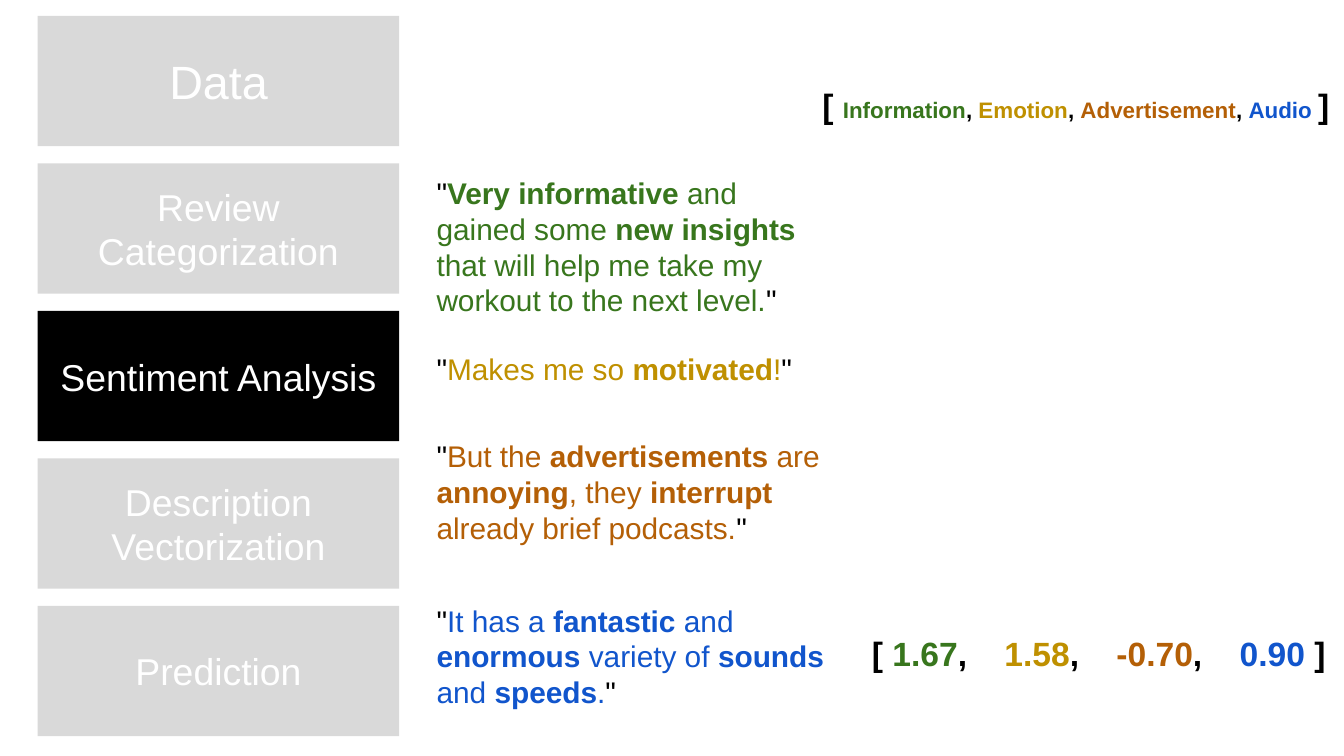
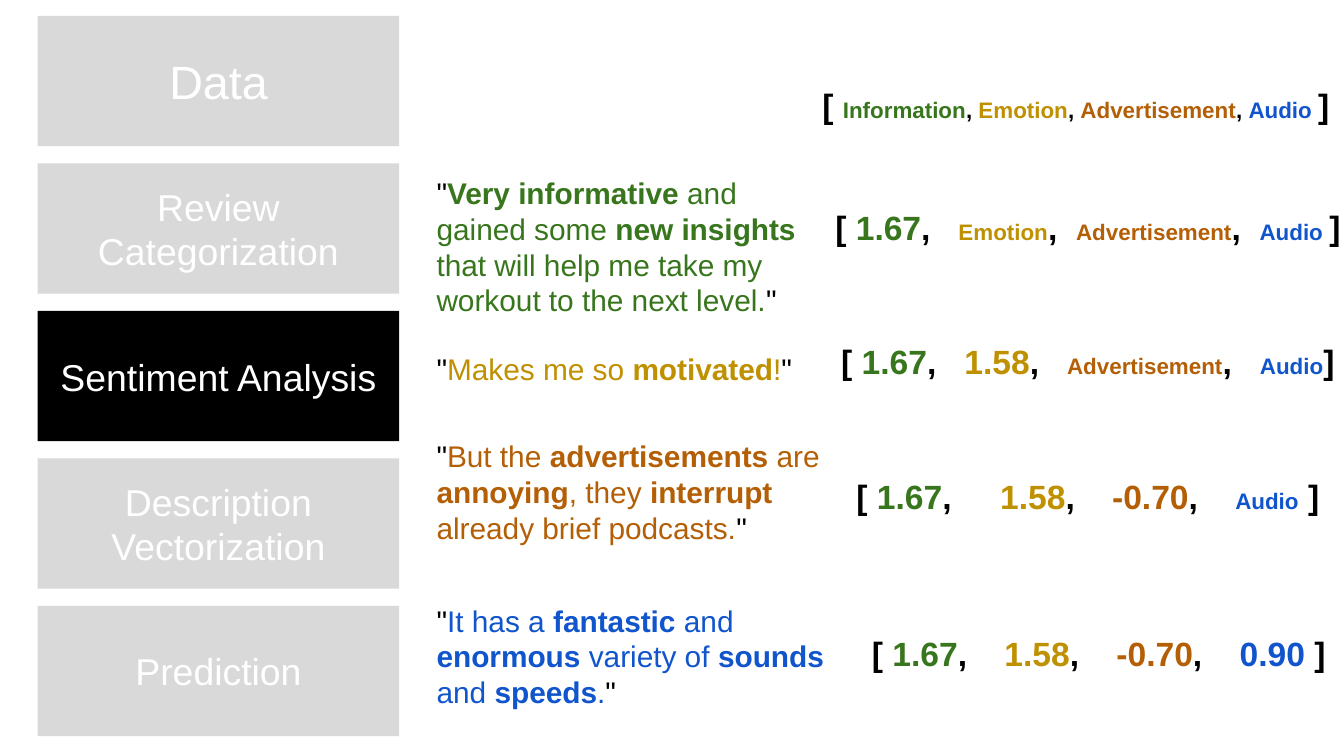
"""Builds two slides that turn podcast reviews into a vector of sentiment scores."""
from lxml.etree import SubElement
from pptx import Presentation
from pptx.dml.color import RGBColor
from pptx.enum.shapes import MSO_SHAPE
from pptx.enum.text import MSO_ANCHOR, PP_ALIGN
from pptx.oxml.ns import qn
from pptx.util import Pt

FONT = "Arial"
BLACK, WHITE, GREY = "000000", "FFFFFF", "D9D9D9"
INSET = 7.2

STEPS = [
    ("Data", 25),
    ("Review Categorization", 20),
    ("Sentiment Analysis", 20),
    ("Description Vectorization", 20),
    ("Prediction", 20),
]
ACTIVE_STEP = "Sentiment Analysis"
STEP_LEFT, STEP_TOP, STEP_WIDTH, STEP_HEIGHT, STEP_PITCH = 20.2, 8.6, 193.7, 69.8, 79

TOPICS = ["Information", "Emotion", "Advertisement", "Audio"]
SCORES = ["1.67", "1.58", "-0.70", "0.90"]
TOPIC_COLORS = ["38761D", "BF9000", "B45F06", "1155CC"]
TOPIC_SIZE, SCORE_SIZE, REVIEW_SIZE = 12, 18, 16

REVIEWS = [
    ("*Very informative* and gained some *new insights* that will help me take my "
     "workout to the next level.", (226.8, 86.4, 221, 79.2)),
    ("Makes me so *motivated*!", (226.8, 180.7, 221, 55.4)),
    ("But the *advertisements* are *annoying*, they *interrupt* already brief podcasts.",
     (226.8, 227.5, 221, 66.2)),
    ("It has a *fantastic* and *enormous* variety of *sounds* and *speeds*.",
     (226.8, 315.4, 231.8, 64.1)),
]

HEADER_BOX = (303.1, 38.2, 546.5, 31)
VECTOR_WIDTH, VECTOR_HEIGHT = 313.2, 31
OPENING_WIDTH, COMMA_WIDTH = 11, 5
CELL_WIDTHS = {"1.67": 35, "1.58": 35, "-0.70": 41, "0.90": 35,
               "Emotion": 48, "Advertisement": 83.3, "Audio": 34}
VECTORS = {
    1: dict(left=426.2, top=103.7, gaps=(15, 10, 10), suffix=" ", closing="]", end=9.3),
    2: dict(left=426.2, top=175.7, gaps=(15, 15, 15), suffix="", closing="]", end=6),
    3: dict(left=426.2, top=247.7, gaps=(26, 20, 20), suffix="", closing=" ]", end=11),
    4: dict(left=432, top=331.9, gaps=(20, 20, 20), suffix=" ", closing="]", end=11),
}
SLIDE_VECTORS = [[4], [1, 2, 3, 4]]


def rgb(color):
    return RGBColor.from_string(color)


def add_run(paragraph, text, size, color, bold=False):
    run = paragraph.add_run()
    run.text = text
    run.font.name, run.font.size, run.font.bold = FONT, Pt(size), bold
    run.font.color.rgb = rgb(color)


def prepare_frame(frame, left_inset=INSET):
    frame.word_wrap = True
    frame.margin_left = Pt(left_inset)
    frame.margin_top = frame.margin_right = frame.margin_bottom = Pt(INSET)
    return frame.paragraphs[0]


def add_text(slide, box, left_inset=INSET):
    frame = slide.shapes.add_textbox(*map(Pt, box)).text_frame
    return prepare_frame(frame, left_inset)


def add_steps(slide):
    for row, (label, size) in enumerate(STEPS):
        box = (STEP_LEFT, STEP_TOP + row * STEP_PITCH, STEP_WIDTH, STEP_HEIGHT)
        step = slide.shapes.add_shape(MSO_SHAPE.RECTANGLE, *map(Pt, box))
        step.shadow.inherit = False
        step.fill.solid()
        step.fill.fore_color.rgb = rgb(BLACK if label == ACTIVE_STEP else GREY)
        step.line.fill.background()
        step.text_frame.vertical_anchor = MSO_ANCHOR.MIDDLE
        paragraph = prepare_frame(step.text_frame)
        paragraph.alignment = PP_ALIGN.CENTER
        add_run(paragraph, label, size, WHITE)


def add_header(slide):
    paragraph = add_text(slide, HEADER_BOX)
    paragraph.alignment = PP_ALIGN.CENTER
    add_run(paragraph, "[ ", SCORE_SIZE, BLACK, True)
    for topic, color in zip(TOPICS, TOPIC_COLORS):
        last = topic == TOPICS[-1]
        add_run(paragraph, topic + " " * last, TOPIC_SIZE, color, True)
        if not last:
            add_run(paragraph, ", ", TOPIC_SIZE, BLACK, True)
    add_run(paragraph, "]", SCORE_SIZE, BLACK, True)


def add_review(slide, review, box, color):
    paragraph = add_text(slide, box)
    add_run(paragraph, '"', REVIEW_SIZE, BLACK)
    for index, part in enumerate(review.split("*")):
        if part:
            add_run(paragraph, part, REVIEW_SIZE, color, index % 2 == 1)
    add_run(paragraph, '"', REVIEW_SIZE, BLACK)


def add_vector(slide, known, left, top, gaps, suffix, closing, end):
    cells = SCORES[:known] + TOPICS[known:]
    stops, reach = [], OPENING_WIDTH
    for cell, gap in zip(cells, gaps):
        reach += CELL_WIDTHS[cell] + COMMA_WIDTH + gap
        stops.append(reach)
    total = reach + CELL_WIDTHS[cells[-1]] + end
    paragraph = add_text(slide, (left, top, VECTOR_WIDTH, VECTOR_HEIGHT),
                         (VECTOR_WIDTH - total) / 2)
    tabs = SubElement(paragraph._p.get_or_add_pPr(), qn("a:tabLst"))
    for stop in stops:
        SubElement(tabs, qn("a:tab"), pos=str(Pt(stop)), algn="l")
    add_run(paragraph, "[ ", SCORE_SIZE, BLACK, True)
    for index, (cell, color) in enumerate(zip(cells, TOPIC_COLORS)):
        last = index == len(gaps)
        size = SCORE_SIZE if index < known else TOPIC_SIZE
        add_run(paragraph, cell + suffix * last, size, color, True)
        add_run(paragraph, closing if last else ",\t", SCORE_SIZE, BLACK, True)


def main():
    deck = Presentation()
    deck.slide_width, deck.slide_height = Pt(720), Pt(405)
    for vectors in SLIDE_VECTORS:
        slide = deck.slides.add_slide(deck.slide_layouts[6])
        add_steps(slide)
        add_header(slide)
        for known in vectors:
            add_vector(slide, known, **VECTORS[known])
        for (review, box), color in zip(REVIEWS, TOPIC_COLORS):
            add_review(slide, review, box, color)
    deck.save("out.pptx")


if __name__ == "__main__":
    main()
